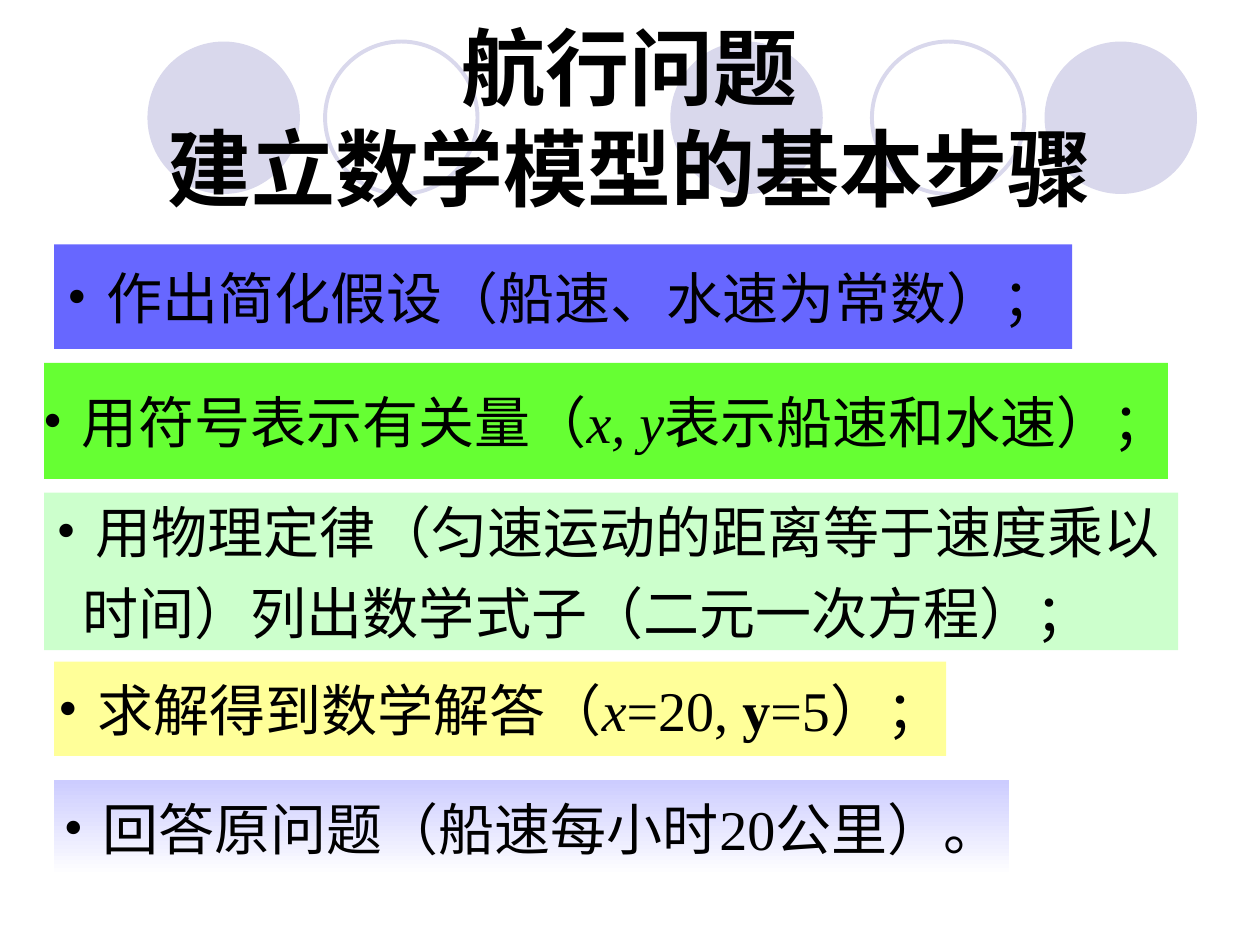
from lxml import etree
from pptx import Presentation
from pptx.dml.color import RGBColor
from pptx.enum import shapes, text
from pptx.oxml import ns
from pptx.util import Inches, Pt

COLORS = {
    "black": "000000", "circle": "D9D8EC", "blue": "6767FF", "green": "66FF33",
    "mint": "CCFFCC", "yellow": "FFFF99", "lavender": "CCCCFF", "white": "FFFFFF",
}
CIRCLE_SIZE = 1.21
CIRCLES = [(1.17, True), (2.58, False), (5.32, True), (6.92, False), (8.29, True)]
BULLET_INDENT = 0.31
ITALIC, BOLD = {"italic": True}, {"bold": True}

# Box, fill colours (two make a gradient), paragraphs of (text, format) runs
STEPS = [
    ((0.43, 1.94, 8.08, 0.83), ["blue"],
     [[("作出简化假设（船速、水速为常数）；", {})]]),
    ((0.35, 2.88, 8.92, 0.92), ["green"],
     [[("用符号表示有关量（", {}), ("x, y", ITALIC), ("表示船速和水速）；", {})]]),
    ((0.35, 3.91, 9, 1.25), ["mint"],
     [[("用物理定律（匀速运动的距离等于速度乘以", {})],
      [("时间）列出数学式子（二元一次方程）；", {})]]),
    ((0.43, 5.25, 7.08, 0.75), ["yellow"],
     [[("求解得到数学解答（", {}), ("x", ITALIC), ("=20, ", {}),
       ("y", BOLD), ("=5）；", {})]]),
    ((0.43, 6.19, 7.58, 0.76), ["lavender", "white"],
     [[("回答原问题（船速每小时20公里）。", {})]]),
]


def rgb(name):
    return RGBColor.from_string(COLORS[name])


def add_run(p, content, font, size, **formats):
    r = p.add_run()
    r.text = content
    r.font.color.rgb = rgb("black")
    for key, value in {"name": font, "size": Pt(size), **formats}.items():
        setattr(r.font, key, value)


def add_shape(s, kind, box):
    sp = s.shapes.add_shape(kind, *map(Inches, box))
    sp.shadow.inherit = False
    return sp


def add_circle(s, left, filled):
    sp = add_shape(s, shapes.MSO_SHAPE.OVAL, (left, 0.33, CIRCLE_SIZE, CIRCLE_SIZE))
    if filled:
        sp.fill.solid()
        sp.fill.fore_color.rgb = rgb("circle")
        sp.line.fill.background()
    else:
        sp.fill.background()
        sp.line.color.rgb = rgb("circle")
        sp.line.width = Pt(2.25)


def add_title(s, lines):
    tf = s.shapes.add_textbox(*map(Inches, (0.5, 0.3, 9, 1.25))).text_frame
    tf.word_wrap = True
    tf.vertical_anchor = text.MSO_ANCHOR.MIDDLE
    p = tf.paragraphs[0]
    p.alignment = text.PP_ALIGN.CENTER
    for i, line in enumerate(lines):
        if i:
            p.add_line_break()
        add_run(p, line, "Arial", 48, bold=True)


def set_indent(p, margin, first=0):
    pPr = p._p.get_or_add_pPr()
    pPr.set("marL", str(Inches(margin)))
    pPr.set("indent", str(Inches(first)))
    return pPr


def add_bullet(p):
    pPr = set_indent(p, BULLET_INDENT, -BULLET_INDENT)
    color = etree.SubElement(pPr, ns.qn("a:buClr"))
    etree.SubElement(color, ns.qn("a:srgbClr"), val=COLORS["black"])
    etree.SubElement(pPr, ns.qn("a:buSzPts"), val="2000")
    etree.SubElement(pPr, ns.qn("a:buFont"), typeface="Times New Roman")
    etree.SubElement(pPr, ns.qn("a:buChar"), char="•")


def fill_box(sp, fills):
    if len(fills) == 1:
        sp.fill.solid()
        sp.fill.fore_color.rgb = rgb(fills[0])
    else:
        sp.fill.gradient()
        sp.fill.gradient_angle = 270
        for stop, name, position in zip(sp.fill.gradient_stops, fills, (0, 1)):
            stop.color.rgb = rgb(name)
            stop.position = position
    sp.line.fill.background()


def add_step(s, box, fills, paragraphs):
    sp = add_shape(s, shapes.MSO_SHAPE.RECTANGLE, box)
    fill_box(sp, fills)
    tf = sp.text_frame
    tf.word_wrap = False
    tf.vertical_anchor = text.MSO_ANCHOR.MIDDLE
    single = len(paragraphs) == 1
    for i, runs in enumerate(paragraphs):
        p = tf.add_paragraph() if i else tf.paragraphs[0]
        p.alignment = text.PP_ALIGN.CENTER if single else text.PP_ALIGN.LEFT
        if i:
            set_indent(p, 0.21)
            p.line_spacing = 1.2
        else:
            add_bullet(p)
        for content, formats in runs:
            add_run(p, content, "Times New Roman", 32, **formats)


def main():
    prs = Presentation()
    prs.slide_width, prs.slide_height = Inches(10), Inches(7.5)
    s = prs.slides.add_slide(prs.slide_layouts[6])
    for left, filled in CIRCLES:
        add_circle(s, left, filled)
    add_title(s, ["航行问题", "建立数学模型的基本步骤"])
    for step in STEPS:
        add_step(s, *step)
    prs.save("out.pptx")


if __name__ == "__main__":
    main()
